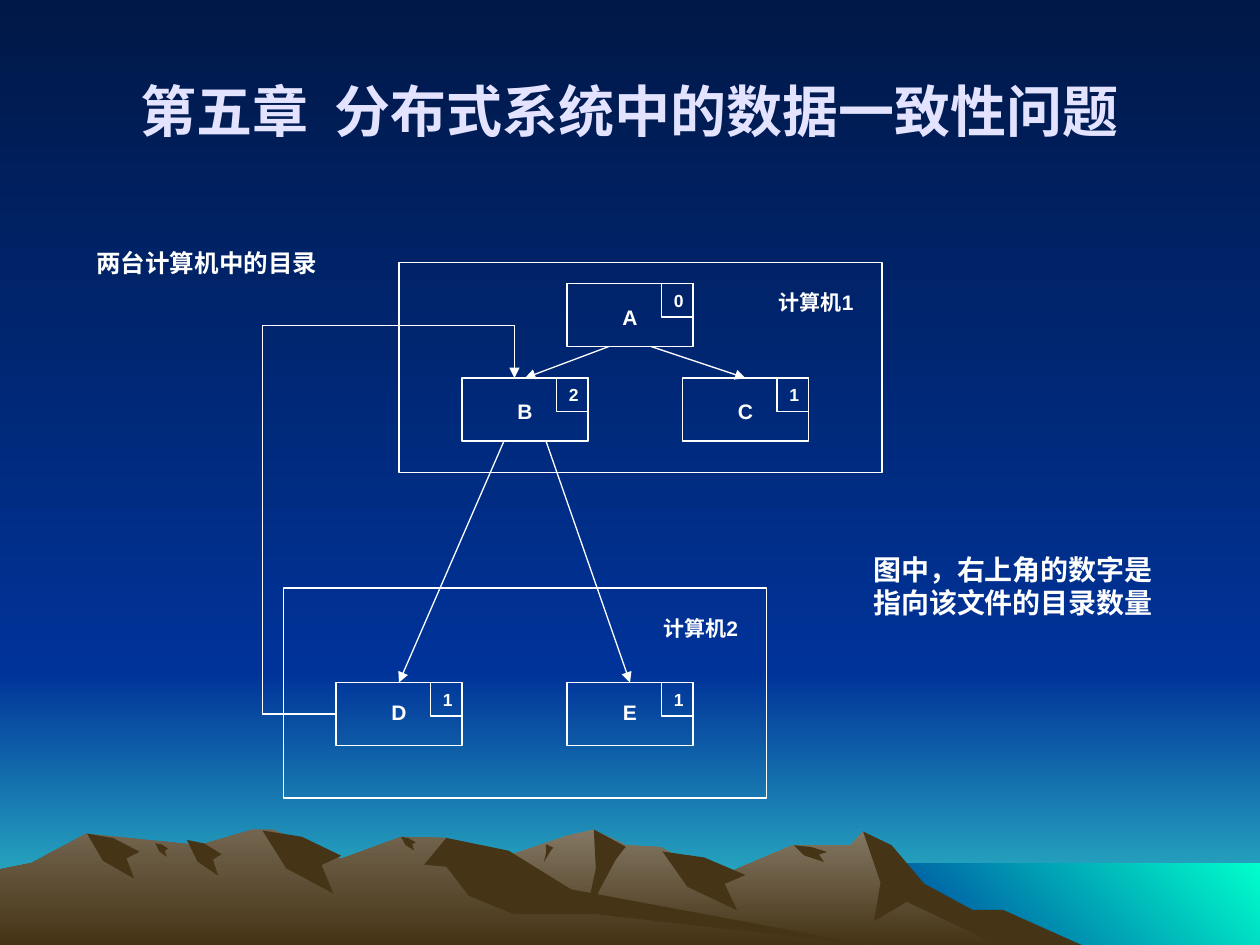
from dataclasses import dataclass
from itertools import pairwise

from lxml.etree import SubElement as sub
from pptx import Presentation
from pptx.dml.color import RGBColor as RGB
from pptx.enum.shapes import MSO_CONNECTOR as LINK, MSO_SHAPE as FORM
from pptx.enum.text import MSO_ANCHOR as ANCHOR, MSO_AUTO_SIZE as AUTO, PP_ALIGN as ALIGN
from pptx.oxml.ns import qn
from pptx.util import Inches, Pt


@dataclass(frozen=True)
class Theme:
    white: str = "FFFFFF"
    title: str = "E3E3FF"
    shade: str = "463416"
    # Blends are first colour, last colour, clockwise angle
    sky: tuple = ("001847", "003399", 90)
    haze: tuple = ("003399", "33CCCC", 90)
    sea: tuple = ("003399", "00FFCC", 315)
    far: tuple = ("847864", "463416", 90)
    near: tuple = ("73654F", "463416", 90)
    sans: str = "Arial"
    han: str = "Noto Sans CJK SC"
    head: int = 32
    note: int = 16
    lead: int = 14
    name: int = 12
    count: int = 10
    thin: float = 0.75
    bold: float = 1


@dataclass(frozen=True)
class Node:
    """A directory: its top left cell, and how many directories point to it."""
    col: float
    row: float
    count: int
    drop: float

    def top(self, shift=0):
        return self.col + NODE_W / 2 + shift, self.row

    def foot(self, share):
        return self.col + NODE_W * share, self.row + NODE_H

    def left(self):
        return self.col, self.row + NODE_H / 2


T = Theme()
WIDE, HIGH = 10, 7.5
COLS, ROWS = 120, 90  # square cells, twelve to the inch
NODE_W, NODE_H = 12, 6
HOST_W, HOST_H = 46, 20
LINE_H = 3.6  # height of a one-line label
HORIZON, SHORE = 64, 82.2

# Upper nodes hang their letter lower than the lower ones
UPPER, LOWER = 1.4, 1
NODES = {
    "A": Node(54, 27, 0, UPPER),
    "B": Node(44, 36, 2, UPPER),
    "C": Node(65, 36, 1, UPPER),
    "D": Node(32, 65, 1, LOWER),
    "E": Node(54, 65, 1, LOWER),
}
TREE = {"A": "BC", "B": "DE"}

# Crests run left to right as (column, height above the slide's foot)
FAR = [(31, 0), (39, 5), (47, 8), (54, 10.4), (56.5, 11), (59.6, 9.5), (63, 9.3), (68, 6.3),
       (75.5, 9.5), (81, 9.5), (82.2, 10.8), (87, 6.2), (94, 2.4), (98.5, 0)]
NEAR = [(0, 7.2), (3, 7.8), (8.2, 10.6), (19, 9.5), (24, 11), (26, 11), (32.5, 8.2),
        (38.2, 10.3), (42.5, 10.2), (52, 4.6), (83, 0)]

# Shadow outlines, as shares of the area they fill
GULLY = [(0, 0), (0.5, 0.1), (1, 0.4), (0.75, 0.55), (0.9, 1), (0.3, 0.6)]
FANG = [(0.2, 0), (1, 0.2), (0.75, 0.35), (0, 1), (0.25, 0.45)]
CLIFF = [(0, 0), (0.13, 0.12), (0.28, 0.46), (0.5, 0.69), (0.64, 0.69), (1, 1),
         (0.62, 1), (0.2, 0.62), (0.05, 0.79), (0.08, 0.45)]
SPUR = [(0.05, 0), (0.19, 0.12), (0.33, 0.48), (1, 1), (0.38, 0.71), (0.2, 0.71),
        (0.1, 0.54), (0.05, 0.27), (0, 0.25)]

# Areas of shadow on each range: column, row, width, height
FAR_DARK = [
    (CLIFF, [(82.2, 79.2, 20.8, 10.8)]),
    (FANG, [(55.8, 79, 3.8, 8.2), (51.8, 80.4, 0.9, 1.7)]),
    (GULLY, [(63.1, 81.1, 7.9, 5.6), (75.6, 80.5, 3.2, 1.6)]),
]
NEAR_DARK = [
    (SPUR, [(40.4, 79.8, 42.4, 10.2)]),
    (GULLY, [(8.3, 79.4, 5, 4.3), (14.8, 80.3, 1.2, 1.3), (17.8, 80, 3.3, 3.4),
             (25, 79.1, 7.5, 6), (38.2, 79.7, 1.4, 1.3)]),
]


def cells(*nums):
    return [Inches(n * WIDE / COLS) for n in nums]


def paint(fill, look):
    """Fill with one colour, or with a blend of two."""
    if isinstance(look, str):
        fill.solid()
        fill.fore_color.rgb = RGB.from_string(look)
        return
    *tones, angle = look
    fill.gradient()
    fill.gradient_angle = 360 - angle
    for stop, tone in zip(fill.gradient_stops, tones):
        stop.color.rgb = RGB.from_string(tone)


def plain(shape, look):
    shape.shadow.inherit = False
    paint(shape.fill, look)
    shape.line.fill.background()


def band(slide, look, left, top, end):
    """Colour the area from left to the slide's right edge."""
    area = cells(left, top, COLS - left, end - top)
    plain(slide.shapes.add_shape(FORM.RECTANGLE, *area), look)


def land(slide, look, dots):
    first, *rest = [cells(*dot) for dot in dots]
    pen = slide.shapes.build_freeform(*first, scale=1)
    pen.add_line_segments(rest, close=True)
    plain(pen.convert_to_shape(), look)


def ridge(slide, look, crest, dark):
    """Raise a range from the slide's foot and lay its shadows on it."""
    ends = [(crest[-1][0], ROWS), (crest[0][0], ROWS)]
    land(slide, look, [(col, ROWS - rise) for col, rise in crest] + ends)
    for form, areas in dark:
        for col, row, wide, high in areas:
            land(slide, T.shade, [(col + x * wide, row + y * high) for x, y in form])


def scene(slide):
    paint(slide.background.fill, T.sky)
    band(slide, T.haze, 0, HORIZON, ROWS)
    band(slide, T.sky, 0, 0, HORIZON)
    band(slide, T.sea, 82, SHORE, ROWS)
    ridge(slide, T.far, FAR, FAR_DARK)
    ridge(slide, T.near, NEAR, NEAR_DARK)


def write(shape, text, size, color=T.white, font=T.sans, align=ALIGN.LEFT,
          anchor=ANCHOR.TOP, fit=AUTO.SHAPE_TO_FIT_TEXT):
    frame = shape.text_frame
    frame.word_wrap = True
    frame.auto_size = fit
    frame.vertical_anchor = anchor
    para = frame.paragraphs[0]
    para.alignment = align
    run = para.add_run()
    run.text = text
    run.font.name = font
    run.font.size = Pt(size)
    run.font.bold = True
    run.font.color.rgb = RGB.from_string(color)
    if font == T.han:
        sub(run.font._element, qn("a:ea"), typeface=font)


def label(slide, area, text, size, **style):
    write(slide.shapes.add_textbox(*cells(*area)), text, size, **style)


def frame(slide, area, width=T.thin):
    box = slide.shapes.add_shape(FORM.RECTANGLE, *cells(*area))
    box.shadow.inherit = False
    box.fill.background()
    box.line.color.rgb = RGB.from_string(T.white)
    box.line.width = Pt(width)
    return box


def host(slide, name, col, row):
    frame(slide, (col, row, HOST_W, HOST_H))
    label(slide, (col + 35, row + 2, 11, LINE_H), name, T.name)


def draw(slide, name, node):
    """Draw a box with its letter and, top right, its count."""
    side = NODE_W / 4
    frame(slide, (node.col, node.row, NODE_W, NODE_H))
    label(slide, (node.col + side, node.row + node.drop, NODE_W / 2, LINE_H), name,
          T.name, align=ALIGN.CENTER)
    badge = frame(slide, (node.col + NODE_W - side, node.row, side, 3.2), T.bold)
    write(badge, str(node.count), T.count, align=ALIGN.CENTER)


def link(slide, start, end, arrow=True):
    line = slide.shapes.add_connector(LINK.STRAIGHT, *cells(*start, *end))
    line.line.color.rgb = RGB.from_string(T.white)
    line.line.width = Pt(T.thin)
    props = line._element.spPr
    if arrow:
        sub(props.find(qn("a:ln")), qn("a:tailEnd"), type="triangle")
    sub(props, qn("a:effectLst"))


def loop(slide, low, high):
    """Lead from the left of the low node round to the top of the high one."""
    start, end = low.left(), high.top(-1)
    side, over = start[0] - 7, end[1] - 5
    stops = [start, (side, start[1]), (side, over), (end[0], over), end]
    for here, there in pairwise(stops):
        link(slide, here, there, arrow=there == end)


def main():
    deck = Presentation()
    deck.slide_width, deck.slide_height = Inches(WIDE), Inches(HIGH)
    slide = deck.slides.add_slide(deck.slide_layouts[6])
    scene(slide)
    label(slide, (6, 3, COLS - 12, 15), "第五章  分布式系统中的数据一致性问题", T.head,
          color=T.title, font=T.han, align=ALIGN.CENTER, anchor=ANCHOR.MIDDLE,
          fit=AUTO.NONE)
    host(slide, "计算机1", 38, 25)
    host(slide, "计算机2", 27, 56)
    for name, node in NODES.items():
        draw(slide, name, node)
    for name, kids in TREE.items():
        for share, kid in zip((1 / 3, 2 / 3), kids):
            link(slide, NODES[name].foot(share), NODES[kid].top())
    loop(slide, NODES["D"], NODES["B"])
    label(slide, (82, 52, 29, 7.7), "图中，右上角的数字是指向该文件的目录数量", T.note)
    label(slide, (8, 23, 25, 4.1), "两台计算机中的目录", T.lead)
    deck.save("out.pptx")


if __name__ == "__main__":
    main()
